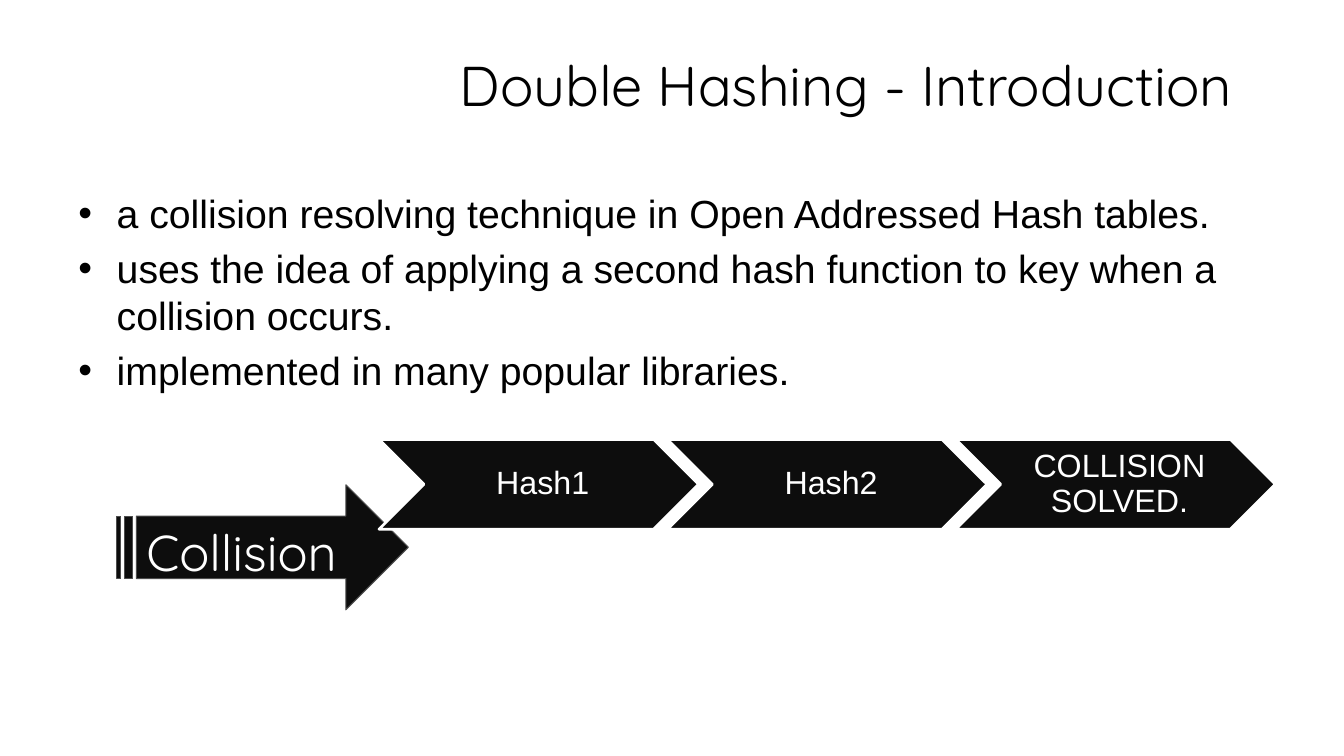
"""Build the slide that introduces double hashing."""
from lxml import etree
from pptx import Presentation
from pptx import util as u
from pptx.dml.color import RGBColor
from pptx.enum import shapes, text
from pptx.oxml.ns import qn

TITLE = "Double Hashing - Introduction"
BULLETS = [
    "a collision resolving technique in Open Addressed Hash tables.",
    "uses the idea of applying a second hash function to key when a collision occurs.",
    "implemented in many popular libraries.",
]
START = "Collision"
STEPS = ["Hash1", "Hash2", "COLLISION SOLVED."]

COLORS = {"ink": "000000", "fill": "0D0D0D", "edge": "4D4D4D", "paper": "FFFFFF"}
TITLE_FONT = {"name": "Quicksand", "size": u.Pt(40), "bold": False}
BULLET_FONT = {"name": "Arial", "size": u.Pt(28)}
START_FONT = {"name": "Quicksand", "size": u.Pt(36)}
STEP_FONT = {"name": "Arial", "size": u.Pt(23)}
LEFT_TOP = {"alignment": text.PP_ALIGN.LEFT}
STEP_PARAGRAPH = {"alignment": text.PP_ALIGN.CENTER, "line_spacing": 0.9}

TITLE_BOX = (4.46, 0.28, 8.19, 1.1)
BULLET_BOX = (0.68, 1.83, 11.97, 2.41)
START_BOX = (1.16, 4.81, 2.89, 1.24)
STEP_LEFT, STEP_TOP, STEP_PITCH = 3.76, 4.36, 2.86
STEP_WIDTH, STEP_HEIGHT = 3.17, 0.89
LABEL_OFFSET, LABEL_WIDTH = 0.64, 1.9
INDENT = 0.38


def color(name):
    return RGBColor.from_string(COLORS[name])


def inches(box):
    return [u.Inches(value) for value in box]


def apply(target, values):
    for name, value in values.items():
        setattr(target, name, value)


def write(frame, lines, font, ink, anchor, paragraph_format):
    apply(frame, {"word_wrap": True, "auto_size": text.MSO_AUTO_SIZE.NONE,
                  "vertical_anchor": anchor})
    for index, line in enumerate(lines):
        paragraph = frame.paragraphs[0] if index == 0 else frame.add_paragraph()
        apply(paragraph, paragraph_format)
        run = paragraph.add_run()
        run.text = line
        apply(run.font, font)
        run.font.color.rgb = color(ink)


def add_arrow(slide, kind, box, edge, width):
    shape = slide.shapes.add_shape(kind, *inches(box))
    shape.shadow.inherit = False
    shape.fill.solid()
    shape.fill.fore_color.rgb = color("fill")
    shape.line.color.rgb = color(edge)
    shape.line.width = u.Pt(width)
    return shape


def add_bullets(slide):
    frame = slide.shapes.add_textbox(*inches(BULLET_BOX)).text_frame
    write(frame, BULLETS, BULLET_FONT, "ink", text.MSO_ANCHOR.TOP,
          {"space_before": u.Pt(5.6)})
    for paragraph in frame.paragraphs:
        properties = paragraph._p.get_or_add_pPr()
        properties.set("marL", str(u.Inches(INDENT)))
        properties.set("indent", str(-u.Inches(INDENT)))
        etree.SubElement(properties, qn("a:buFont")).set("typeface", "Arial")
        etree.SubElement(properties, qn("a:buChar")).set("char", "•")


def add_step(slide, index, label):
    left = STEP_LEFT + index * STEP_PITCH
    add_arrow(slide, shapes.MSO_SHAPE.CHEVRON,
              (left, STEP_TOP, STEP_WIDTH, STEP_HEIGHT), "paper", 2)
    box = (left + LABEL_OFFSET, STEP_TOP, LABEL_WIDTH, STEP_HEIGHT)
    frame = slide.shapes.add_textbox(*inches(box)).text_frame
    apply(frame, {"margin_left": u.Inches(0.1), "margin_right": u.Inches(0.03),
                  "margin_top": u.Inches(0.03), "margin_bottom": u.Inches(0.03)})
    write(frame, [label], STEP_FONT, "paper", text.MSO_ANCHOR.MIDDLE, STEP_PARAGRAPH)


def main():
    presentation = Presentation()
    presentation.slide_width = u.Inches(13.33)
    presentation.slide_height = u.Inches(7.5)
    slide = presentation.slides.add_slide(presentation.slide_layouts[5])
    slide.background.fill.solid()
    slide.background.fill.fore_color.rgb = color("paper")

    title = slide.shapes.title
    apply(title, dict(zip(("left", "top", "width", "height"), inches(TITLE_BOX))))
    write(title.text_frame, [TITLE], TITLE_FONT, "ink", text.MSO_ANCHOR.MIDDLE, LEFT_TOP)

    add_bullets(slide)
    start = add_arrow(slide, shapes.MSO_SHAPE.STRIPED_RIGHT_ARROW, START_BOX, "edge", 0.75)
    write(start.text_frame, [START], START_FONT, "paper", text.MSO_ANCHOR.TOP, LEFT_TOP)
    for index, label in enumerate(STEPS):
        add_step(slide, index, label)

    presentation.save("out.pptx")


if __name__ == "__main__":
    main()
